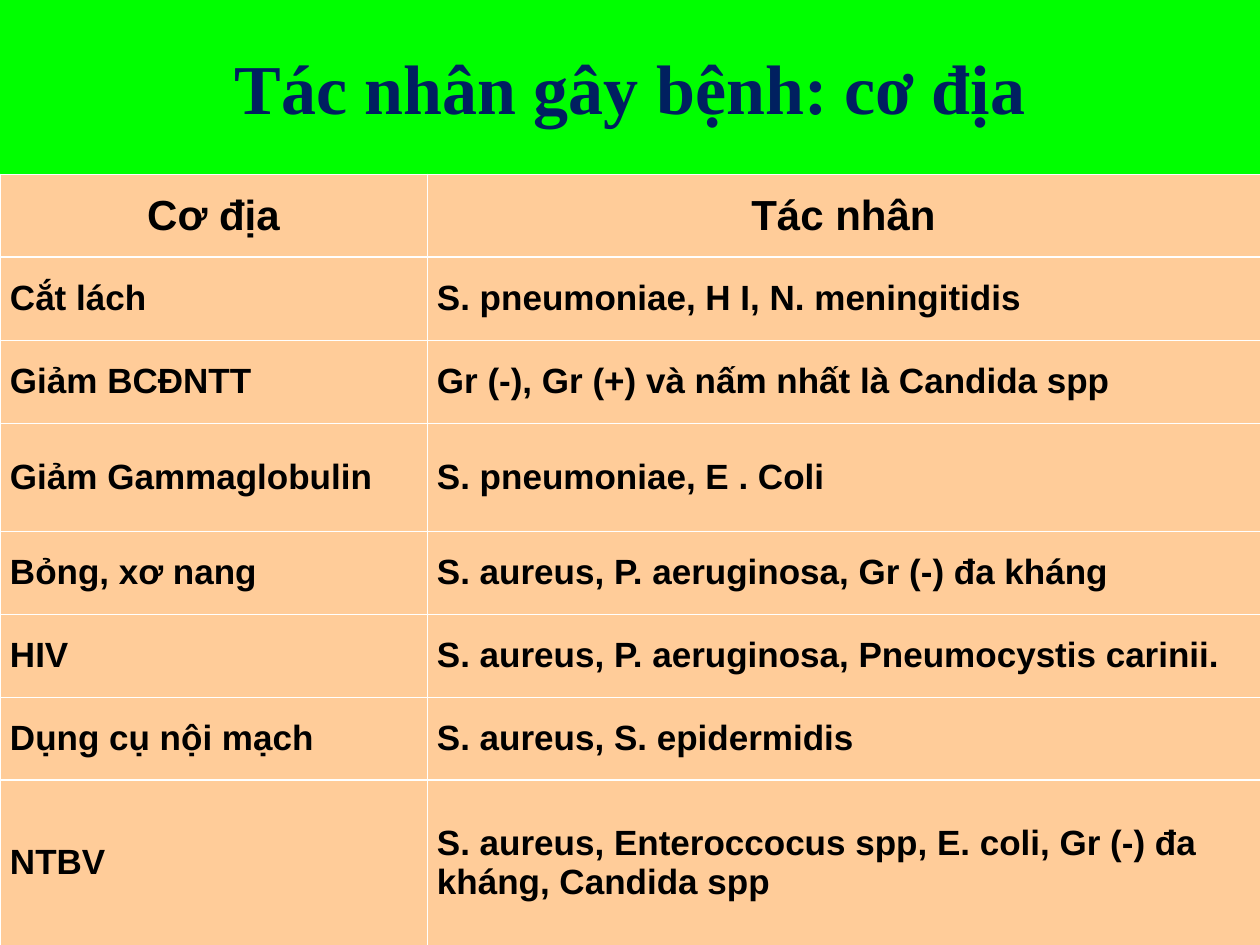
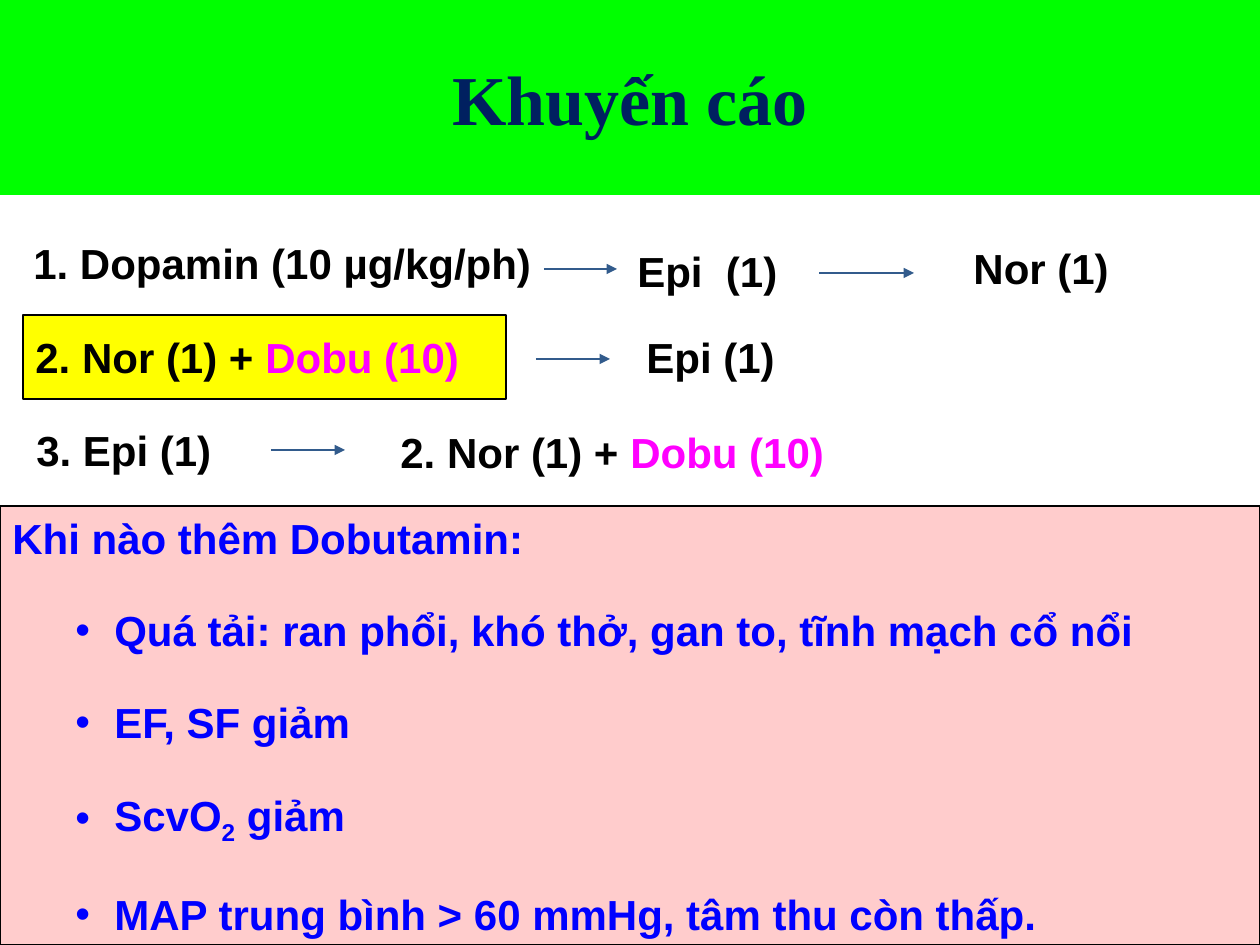
from dataclasses import dataclass

from lxml import etree
from pptx import Presentation
from pptx import util as u
from pptx.dml.color import RGBColor
from pptx.enum import shapes, text
from pptx.oxml.ns import qn

SCALE = 914400 / 126  # EMU per px


@dataclass(frozen=True)
class Theme:
    band: str = "00FF00"
    title: str = "002060"
    ink: str = "000000"
    cell: str = "FFCC99"
    grid: str = "FFFFFF"
    choice: str = "FFFF00"
    dobu: str = "FF00FF"
    note: str = "FFCCCC"
    note_ink: str = "0000FF"
    arrow: str = "325B8C"
    title_font: str = "Times New Roman"
    body_font: str = "Arial"
    title_size: int = 40
    head_size: int = 24
    cell_size: int = 20
    line: float = 0.75
    thin: float = 0.45
    thick: float = 1.47


T = Theme()
W, H = 1260, 945
ALIGN = text.PP_ALIGN
ANCHOR = text.MSO_ANCHOR
DOBU_MIX = ["2. Nor (1) + ", ("Dobu (10)", {"color": T.dobu})]

HOST_ROWS = [
    ("Cơ địa", "Tác nhân"),
    ("Cắt lách", "S. pneumoniae, H I, N. meningitidis"),
    ("Giảm BCĐNTT", "Gr (-), Gr (+) và nấm nhất là Candida spp"),
    ("Giảm Gammaglobulin", "S. pneumoniae, E . Coli"),
    ("Bỏng, xơ nang", "S. aureus, P. aeruginosa, Gr (-) đa kháng"),
    ("HIV", "S. aureus, P. aeruginosa, Pneumocystis carinii."),
    ("Dụng cụ nội mạch", "S. aureus, S. epidermidis"),
    ("NTBV", "S. aureus, Enteroccocus spp, E. coli, Gr (-) đa kháng, Candida spp"),
]
TALL_ROWS = {3: 108, 7: 165}
ROW_H = 83
THICK_BELOW = (0, 6)  # rows with a heavy rule under them

DOBU_SIGNS = [
    ["Quá tải: ran phổi, khó thở, gan to, tĩnh mạch cổ nổi"],
    ["EF, SF giảm"],
    ["ScvO", ("2", {"baseline": -25}), " giảm"],
    ["MAP trung bình > 60 mmHg, tâm thu còn thấp."],
]


def px(n):
    return u.Emu(round(n * SCALE))


def rgb(color):
    return RGBColor.from_string(color)


# Text
def add_run(p, content, size=T.head_size, color=T.ink, font=T.body_font, baseline=0):
    r = p.add_run()
    r.text = content
    r.font.size, r.font.bold, r.font.name = u.Pt(size), True, font
    r.font.color.rgb = rgb(color)
    if baseline:
        r._r.get_or_add_rPr().set("baseline", str(baseline * 1000))


def write(p, runs, align=ALIGN.LEFT, before=0, **fmt):
    """Fill a paragraph with strings or (string, format changes) pairs."""
    p.alignment = align
    if before:
        p.space_before = u.Pt(before)
    for run in [runs] if isinstance(runs, str) else runs:
        content, changes = (run, {}) if isinstance(run, str) else run
        add_run(p, content, **{**fmt, **changes})


def add_bullet(p, color, left=102, hang=39):
    pPr = p._p.get_or_add_pPr()
    pPr.set("marL", str(px(left)))
    pPr.set("indent", str(-px(hang)))
    clr = etree.SubElement(pPr, qn("a:buClr"))
    etree.SubElement(clr, qn("a:srgbClr"), val=color)
    etree.SubElement(pPr, qn("a:buFont"), typeface=T.body_font)
    etree.SubElement(pPr, qn("a:buChar"), char="•")


# Shapes
def add_box(slide, x, y, w, h, fill, line=None, anchor=ANCHOR.MIDDLE):
    sp = slide.shapes.add_shape(shapes.MSO_SHAPE.RECTANGLE, px(x), px(y), px(w), px(h))
    sp.shadow.inherit = False
    sp.fill.solid()
    sp.fill.fore_color.rgb = rgb(fill)
    if line:
        sp.line.color.rgb = rgb(line)
        sp.line.width = u.Pt(T.line)
    else:
        sp.line.fill.background()
    tf = sp.text_frame
    tf.word_wrap, tf.vertical_anchor = True, anchor
    return tf


def add_title(slide, title, height):
    tf = add_box(slide, 0, 0, W, height, T.band)
    write(tf.paragraphs[0], title, ALIGN.CENTER,
          size=T.title_size, color=T.title, font=T.title_font)


def add_label(slide, runs, x, y, w, h=84):
    tf = slide.shapes.add_textbox(px(x), px(y), px(w), px(h)).text_frame
    tf.word_wrap = True
    write(tf.paragraphs[0], runs, ALIGN.JUSTIFY)


def add_arrow(slide, x, y, length):
    cx = slide.shapes.add_connector(
        shapes.MSO_CONNECTOR.STRAIGHT, px(x), px(y), px(x + length), px(y))
    cx.line.color.rgb = rgb(T.arrow)
    cx.line.width = u.Pt(T.line)
    etree.SubElement(cx.line._get_or_add_ln(), qn("a:tailEnd"), type="triangle")
    etree.SubElement(cx._element.spPr, qn("a:effectLst"))


# Table
def set_borders(cell, top, bottom):
    tcPr = cell._tc.get_or_add_tcPr()
    for side, width in (("L", T.thin), ("R", T.thin), ("T", top), ("B", bottom)):
        ln = etree.SubElement(tcPr, qn(f"a:ln{side}"), w=str(u.Pt(width)))
        solid = etree.SubElement(ln, qn("a:solidFill"))
        etree.SubElement(solid, qn("a:srgbClr"), val=T.grid)


def add_host_table(slide, y, col_widths):
    heights = [TALL_ROWS.get(i, ROW_H) for i in range(len(HOST_ROWS))]
    table = slide.shapes.add_table(
        len(HOST_ROWS), len(col_widths), 0, px(y), px(W), px(sum(heights))).table
    table.first_row = table.horz_banding = False
    for col, width in zip(table.columns, col_widths):
        col.width = px(width)
    for i, (row, height) in enumerate(zip(table.rows, heights)):
        row.height = px(height)
        top, bottom = (T.thick if k in THICK_BELOW else T.thin for k in (i - 1, i))
        for cell, content in zip(row.cells, HOST_ROWS[i]):
            set_borders(cell, top, bottom)
            cell.fill.solid()
            cell.fill.fore_color.rgb = rgb(T.cell)
            cell.vertical_anchor = ANCHOR.MIDDLE
            cell.margin_left = cell.margin_right = px(10)
            cell.margin_top = cell.margin_bottom = px(6)
            write(cell.text_frame.paragraphs[0], content,
                  ALIGN.LEFT if i else ALIGN.CENTER,
                  size=T.cell_size if i else T.head_size)


# Slides
def build_hosts(slide):
    add_title(slide, "Tác nhân gây bệnh: cơ địa", 174)
    add_host_table(slide, 174, (427, 833))


def build_advice(slide):
    add_title(slide, "Khuyến cáo", 195)

    # First choice
    add_label(slide, "1. Dopamin (10 µg/kg/ph)", 21, 231, 557)
    add_arrow(slide, 544, 269, 73)
    add_label(slide, "Epi  (1)", 625, 239, 174)
    add_arrow(slide, 819, 273, 95)
    add_label(slide, "Nor (1)", 961, 236, 173)

    # Second choice
    tf = add_box(slide, 23, 315, 483, 84, T.choice, T.ink)
    write(tf.paragraphs[0], DOBU_MIX, ALIGN.JUSTIFY)
    add_arrow(slide, 536, 359, 74)
    add_label(slide, "Epi (1)", 634, 325, 173)

    # Third choice
    add_label(slide, "3. Epi (1)", 24, 418, 301)
    add_arrow(slide, 271, 450, 74)
    add_label(slide, DOBU_MIX, 388, 420, 483)

    # When to add dobutamine
    tf = add_box(slide, 0, 506, W, 439, T.note, T.ink, ANCHOR.TOP)
    write(tf.paragraphs[0], "Khi nào thêm Dobutamin:", color=T.note_ink)
    for sign in DOBU_SIGNS:
        p = tf.add_paragraph()
        p.level = 1
        add_bullet(p, T.note_ink)
        write(p, sign, before=24, color=T.note_ink)


def main():
    prs = Presentation()
    prs.slide_width, prs.slide_height = px(W), px(H)
    for build in (build_hosts, build_advice):
        build(prs.slides.add_slide(prs.slide_layouts[6]))
    prs.save("out.pptx")


if __name__ == "__main__":
    main()
